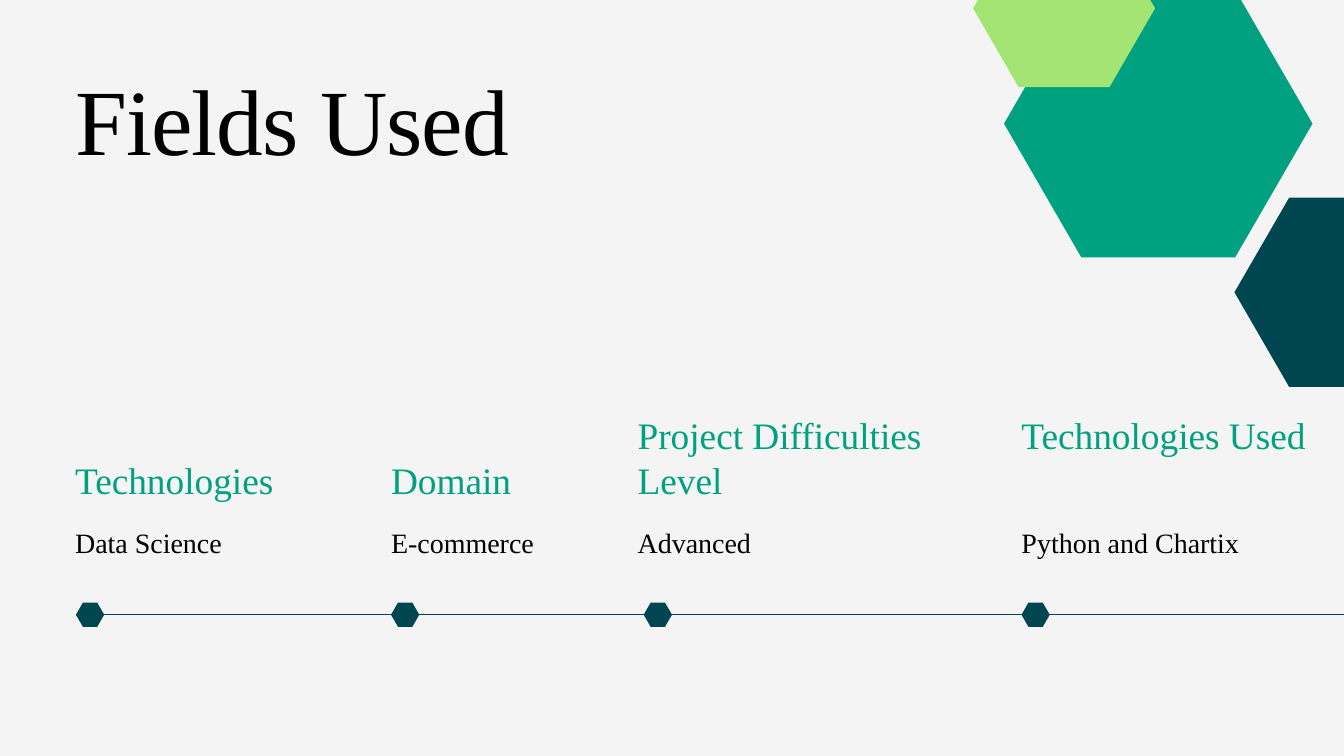
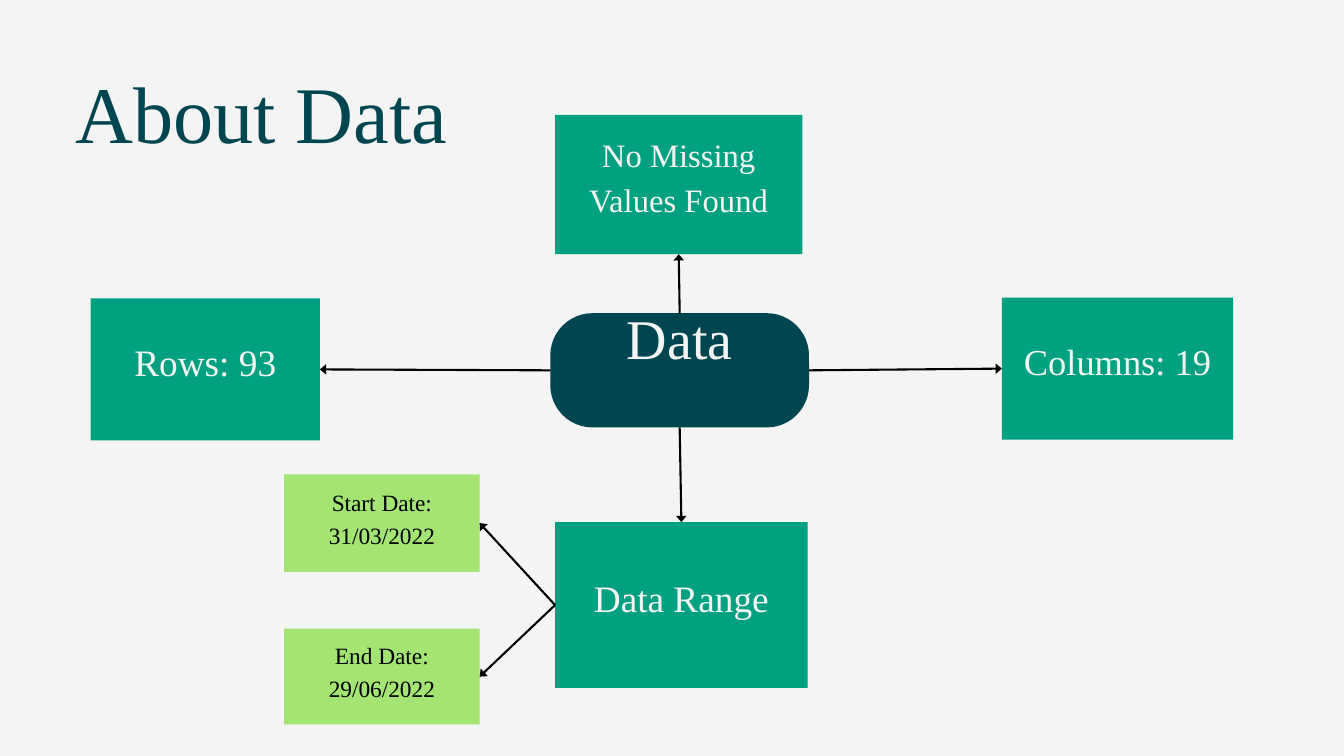
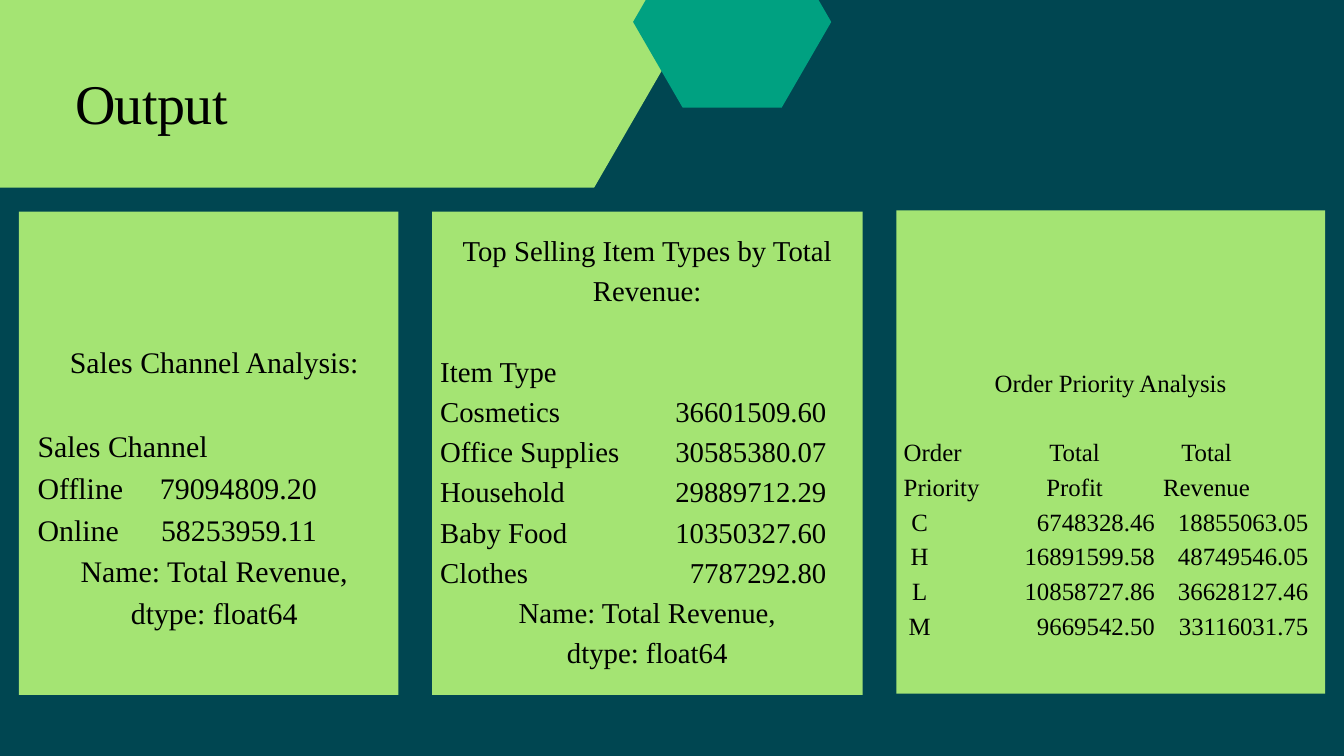
from lxml import etree
from pptx import Presentation
from pptx.dml.color import RGBColor
from pptx.enum.shapes import MSO_CONNECTOR, MSO_SHAPE
from pptx.enum.text import MSO_ANCHOR, PP_ALIGN
from pptx.oxml.ns import qn
from pptx.util import Cm, Pt

HEX, RECT, ROUND = MSO_SHAPE.HEXAGON, MSO_SHAPE.RECTANGLE, MSO_SHAPE.ROUNDED_RECTANGLE
STRAIGHT = MSO_CONNECTOR.STRAIGHT
LEFT, MID = PP_ALIGN.LEFT, PP_ALIGN.CENTER
TOP, BOTTOM, WEST, EAST = 0, 2, 1, 3

FONT = "Times New Roman"
PALE, NAVY, GREEN, LIME, BLACK = "F4F4F4", "004651", "00A181", "A4E473", "000000"
WIDE, TALL = 50.8, 28.58
EDGE = 2.84


def tint(fmt, color):
    fmt.solid()
    fmt.fore_color.rgb = RGBColor.from_string(color)


def add_page(deck, color):
    page = deck.slides.add_slide(deck.slide_layouts[6])
    tint(page.background.fill, color)
    return page


def write(frame, paras, size, color, gap, track=0):
    """Fill a frame from (text, align, tabs, space before) rows; gap is the exact line pitch."""
    frame.word_wrap = True
    for i, (words, align, tabs, before) in enumerate(paras):
        para = frame.paragraphs[0] if i == 0 else frame.add_paragraph()
        form = {"alignment": align, "line_spacing": Pt(gap), "space_before": Pt(before)}
        for key, val in form.items():
            setattr(para, key, val)
        if tabs:
            stops = etree.SubElement(para._p.get_or_add_pPr(), qn("a:tabLst"))
            for kind, pos in tabs:
                etree.SubElement(stops, qn("a:tab"), pos=str(Cm(pos)), algn=kind)
        run = para.add_run()
        run.text = words
        for key, val in {"name": FONT, "size": Pt(size)}.items():
            setattr(run.font, key, val)
        tint(run.font.fill, color)
        if track:
            run._r.get_or_add_rPr().set("spc", str(track))


def set_pads(frame, left, top, right, bottom):
    pads = {"left": left, "top": top, "right": right, "bottom": bottom}
    for side, pad in pads.items():
        setattr(frame, "margin_" + side, Cm(pad))


def add_text(page, place, paras, size, color, gap, track=0):
    frame = page.shapes.add_textbox(*map(Cm, place)).text_frame
    set_pads(frame, 0, 0, 0, 0)
    write(frame, paras, size, color, gap, track)


def add_line(page, place, words, size, color, gap, track=0):
    add_text(page, place, [(words, LEFT, (), 0)], size, color, gap, track)


def add_form(page, kind, place, color, adjust=None):
    form = page.shapes.add_shape(kind, *map(Cm, place))
    form.shadow.inherit = False
    tint(form.fill, color)
    form.line.fill.background()
    if adjust:
        form.adjustments[0] = adjust
    return form


def add_hex(page, place, color):
    add_form(page, HEX, place, color, 0.289)


def add_node(page, place, lines, size, gap, lift, fill=GREEN, color=PALE, kind=RECT, adjust=None):
    """Add a box with centred text; lift is the bottom inset that raises the text."""
    node = add_form(page, kind, place, fill, adjust)
    frame = node.text_frame
    frame.vertical_anchor = MSO_ANCHOR.MIDDLE
    set_pads(frame, 0.71, 0, 0.71, lift)
    write(frame, [(line, MID, (), 0) for line in lines], size, color, gap)
    return node


def add_rule(page, start, end, color, width):
    rule = page.shapes.add_connector(STRAIGHT, *map(Cm, start + end))
    tint(rule.line.fill, color)
    rule.line.width = Pt(width)
    etree.SubElement(rule._element.spPr, qn("a:effectLst"))
    return rule


def add_arrow(page, source, out, target, into):
    arrow = add_rule(page, (0, 0), (1, 1), BLACK, 2.25)
    arrow.begin_connect(source, out)
    arrow.end_connect(target, into)
    line = arrow._element.spPr.find(qn("a:ln"))
    etree.SubElement(line, qn("a:tailEnd"), type="triangle", w="lg", len="med")


def add_fields(deck):
    page = add_page(deck, PALE)
    axis = 23.24
    add_rule(page, (3.53, axis), (WIDE, axis), NAVY, 1.5)
    fields = [
        (EDGE, 11.91, 17.27, 2.87, "Technologies", "Data Science"),
        (14.78, 9.35, 17.27, 14.78, "Domain", "E-commerce"),
        (24.1, 12.67, 15.6, 24.33, "Project Difficulties Level", "Advanced"),
        (38.61, 11.02, 15.6, 38.61, "Technologies Used", "Python and Chartix"),
    ]
    low = 19.1
    for left, wide, top, dot, head, note in fields:
        add_line(page, (left, top, wide, low - top), head, 40, GREEN, 48)
        add_line(page, (left, 19.66, wide, 1.52), note, 30, BLACK, 42)
        add_hex(page, (dot, axis - 0.46, 1.07, 0.92), NAVY)
    add_line(page, (EDGE, 2.34, 20.45, 4.72), "Fields Used", 100, BLACK, 120, -100)
    add_hex(page, (46.66, 7.47, 8.28, 7.16), NAVY)
    add_hex(page, (37.95, -0.38, 11.66, 10.11), GREEN)
    add_hex(page, (36.78, -2.67, 6.88, 5.97), LIME)


def add_about(deck):
    page = add_page(deck, PALE)
    add_line(page, (EDGE, 2.39, 17.53, 3.99), "About Data", 86, NAVY, 103.2)
    data = add_node(page, (20.8, 11.84, 9.78, 4.32), ["Data"], 60, 62, 2.13, NAVY,
                    kind=ROUND, adjust=0.37)
    span = add_node(page, (20.98, 19.74, 9.55, 6.27), ["Data Range"], 40, 56, 0.86)
    cols = add_node(page, (37.87, 11.25, 8.74, 5.37), ["Columns: 19"], 39, 54.6, 0.86)
    rows = add_node(page, (3.43, 11.28, 8.66, 5.37), ["Rows: 93"], 40, 56, 0.86)
    gaps = add_node(page, (20.98, 4.34, 9.35, 5.27), ["No Missing Values Found"], 35, 49, 0.81)
    first = add_node(page, (10.74, 17.93, 7.39, 3.69), ["Start Date: 31/03/2022"],
                     25, 35, 0.53, LIME, BLACK)
    last = add_node(page, (10.74, 23.77, 7.39, 3.62), ["End Date:", "29/06/2022"],
                    25, 35, 0.53, LIME, BLACK)
    for link in [
        (data, EAST, cols, WEST),
        (data, WEST, rows, EAST),
        (data, TOP, gaps, BOTTOM),
        (data, BOTTOM, span, TOP),
        (span, WEST, first, EAST),
        (span, WEST, last, EAST),
    ]:
        add_arrow(page, *link)


def make_rows(lines, tabs):
    return [(line, LEFT, tabs, 0) for line in lines]


def add_output(deck):
    page = add_page(deck, NAVY)
    add_hex(page, (-8.1, -10.21, 35.56, 17.3), LIME)
    add_hex(page, (23.93, -2.41, 7.49, 6.48), GREEN)
    add_line(page, (EDGE, 2.36, 18.42, 3.05), "Output", 60, BLACK, 78, -60)
    for left, top, wide in [(0.71, 8, 14.35), (16.33, 8, 16.28), (33.88, 7.95, 16.21)]:
        add_form(page, RECT, (left, top, wide, 18.27), LIME)

    foot = [("Name: Total Revenue,", MID, (), 0), ("dtype: float64", MID, (), 0)]
    sales = ["Offline\t79094809.20", "Online\t58253959.11"]
    items = ["Cosmetics\t36601509.60", "Office Supplies\t30585380.07", "Household\t29889712.29",
             "Baby Food\t10350327.60", "Clothes\t7787292.80"]
    ranks = ["\tC\t6748328.46\t18855063.05", "\tH\t16891599.58\t48749546.05",
             "\tL\t10858727.86\t36628127.46", "\tM\t9669542.50\t33116031.75"]
    heads = [("ctr", 6.46), ("ctr", 11.45)]
    stops = [("ctr", 0.6), ("r", 9.5), ("r", 15.3)]

    add_text(page, (1.42, 12.78, 13.36, 11.05),
             [("Sales Channel Analysis:", MID, (), 0), ("Sales Channel", LEFT, (), 44.8)]
             + make_rows(sales, [("r", 10.56)]) + foot, 32, BLACK, 44.8)
    add_text(page, (16.64, 8.59, 15.65, 16.66),
             [("Top Selling Item Types by Total Revenue:", MID, (), 0),
              ("Item Type", LEFT, (), 43.1)]
             + make_rows(items, [("r", 14.6)]) + foot, 30.8, BLACK, 43.1)
    add_text(page, (34.16, 13.71, 15.65, 10.46),
             [("Order Priority Analysis", MID, (), 0),
              ("Order\tTotal\tTotal", LEFT, heads, 37.2),
              ("Priority\tProfit\tRevenue", LEFT, heads, 0)]
             + make_rows(ranks, stops), 26.6, BLACK, 37.2)


def main():
    deck = Presentation()
    deck.slide_width, deck.slide_height = Cm(WIDE), Cm(TALL)
    add_fields(deck)
    add_about(deck)
    add_output(deck)
    deck.save("out.pptx")


if __name__ == "__main__":
    main()
